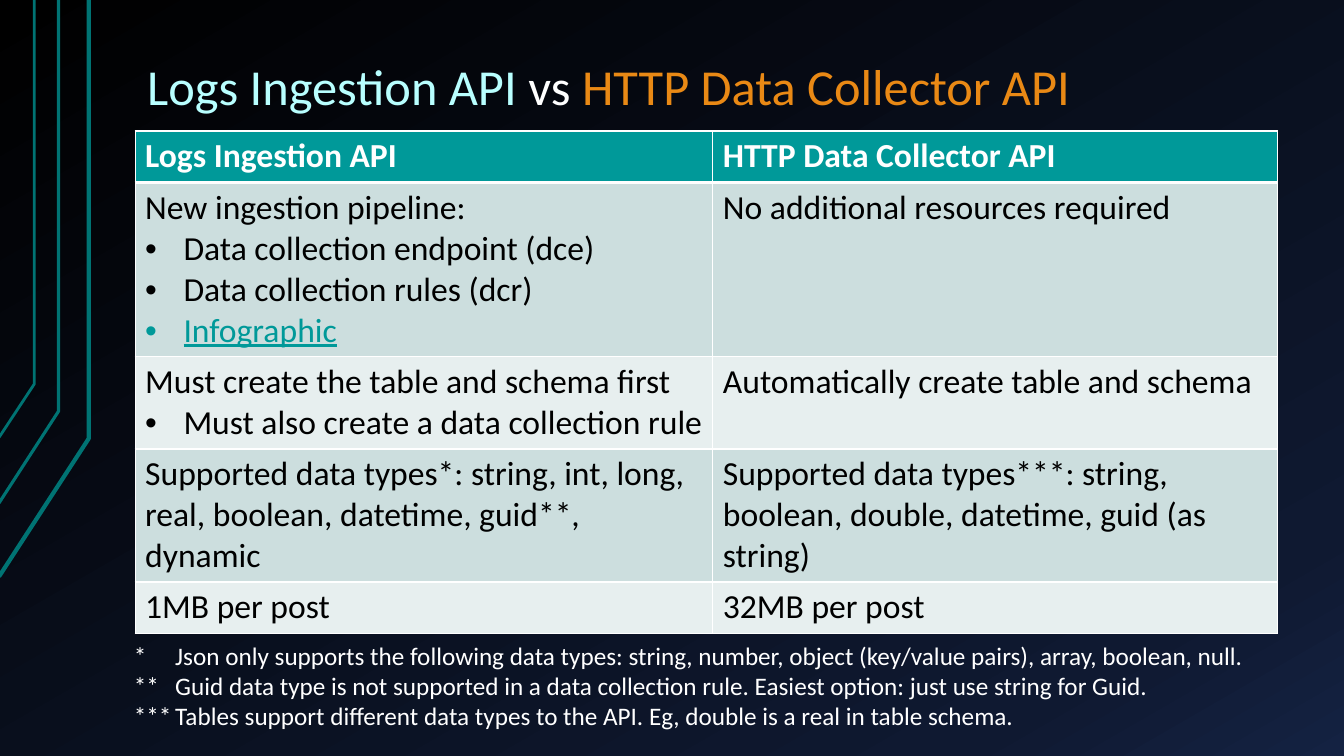
"""Build a slide comparing the Logs Ingestion and HTTP Data Collector APIs."""
from copy import deepcopy

from lxml.etree import SubElement
from pptx import Presentation
from pptx.dml.color import RGBColor as RGB
from pptx.enum.text import MSO_ANCHOR as Anchor, PP_ALIGN as Align
from pptx.oxml import parse_xml
from pptx.oxml.ns import nsdecls, qn
from pptx.util import Pt

PX = 9144
FONT = "Calibri"
BLACK = RGB(0x00, 0x00, 0x00)
WHITE = RGB(0xFF, 0xFF, 0xFF)
NAVY = RGB(0x0F, 0x19, 0x31)
BLUE = RGB(0x14, 0x22, 0x42)
TEAL = RGB(0x00, 0x99, 0x99)
DARK = RGB(0x00, 0x73, 0x73)
AQUA = RGB(0xB8, 0xFF, 0xFF)
ORANGE = RGB(0xE9, 0x89, 0x15)
BAND = RGB(0xCC, 0xDE, 0xDE)
PALE = RGB(0xE7, 0xEF, 0xEF)


def style(para, size, color, bold=False):
    """Set the font of a whole paragraph."""
    font = para.font
    font.name, font.size, font.bold = FONT, Pt(size), bold
    font.color.rgb = color


def hang(para, depth):
    """Give a paragraph a hanging indent and return its properties."""
    props = para._p.get_or_add_pPr()
    props.set("marL", str(depth * PX))
    props.set("indent", str(-depth * PX))
    return props


deck = Presentation()
deck.slide_width, deck.slide_height = 1333 * PX, 750 * PX
slide = deck.slides.add_slide(deck.slide_layouts[5])
shapes = slide.shapes

fill = slide.background.fill
fill.gradient()
fill.gradient_angle = 300
stops = slide.element.find(".//" + qn("a:gsLst"))
stops.append(deepcopy(stops[0]))
for stop, (place, color) in zip(fill.gradient_stops, [(0, BLACK), (0.85, NAVY), (1, BLUE)]):
    stop.position = place
    stop.color.rgb = color

for x, bend, foot, width in [(88, 435, 572, 3), (58, 408, 499, 2.25), (34, 381, 434, 2)]:
    path = shapes.build_freeform(-1, foot, scale=PX)
    path.add_line_segments([(x, bend), (x, 0)], close=False)
    stripe = path.convert_to_shape()
    stripe.fill.background()
    stripe.line.color.rgb = DARK
    stripe.line.width = Pt(width)
    stripe.shadow.inherit = False

title = shapes.title
title.left, title.top, title.width, title.height = [n * PX for n in (133, 30, 1133, 93)]
frame = title.text_frame
frame.word_wrap = True
frame.vertical_anchor = Anchor.BOTTOM
frame.margin_left = frame.margin_right = 13 * PX
frame.margin_top = frame.margin_bottom = 7 * PX
head = frame.paragraphs[0]
head.alignment = Align.LEFT
head.line_spacing = 0.9
style(head, 36, WHITE)
for text, color in [("Logs Ingestion API ", AQUA), ("vs ", WHITE), ("HTTP Data Collector API", ORANGE)]:
    run = head.add_run()
    run.text = text
    run.font.color.rgb = color

ROWS = [
    (51, ["Logs Ingestion API"], ["HTTP Data Collector API"]),
    (173, ["New ingestion pipeline:", "Data collection endpoint (dce)",
           "Data collection rules (dcr)", "Infographic"],
     ["No additional resources required"]),
    (91, ["Must create the table and schema first", "Must also create a data collection rule"],
     ["Automatically create table and schema"]),
    (132, ["Supported data types*: string, int, long, real, boolean, datetime, guid**, dynamic"],
     ["Supported data types***: string, boolean, double, datetime, guid (as string)"]),
    (51, ["1MB per post"], ["32MB per post"]),
]
total = sum(row[0] for row in ROWS)
table = shapes.add_table(len(ROWS), 2, 134 * PX, 130 * PX, 1133 * PX, total * PX).table
for col, width in zip(table.columns, (573, 560)):
    col.width = width * PX

for r, (height, *texts) in enumerate(ROWS):
    table.rows[r].height = height * PX
    for c, lines in enumerate(texts):
        cell = table.cell(r, c)
        cell.fill.solid()
        cell.fill.fore_color.rgb = TEAL if r == 0 else BAND if r % 2 else PALE
        thick = {(0, "B"), (1, "T")}
        for spot, side in enumerate("LRTB"):
            width = Pt(3 if (r, side) in thick else 1)
            cell._tc.get_or_add_tcPr().insert(spot, parse_xml(
                f'<a:ln{side} {nsdecls("a")} w="{width}"><a:solidFill>'
                f'<a:srgbClr val="{WHITE}"/></a:solidFill></a:ln{side}>'))
        cell.text = "\n".join(lines)
        for n, para in enumerate(cell.text_frame.paragraphs):
            if n:
                props = hang(para, 38)
                SubElement(props, qn("a:buFont")).set("typeface", "Arial")
                SubElement(props, qn("a:buChar")).set("char", "•")
            link = para.text == "Infographic"
            style(para, 24, WHITE if r == 0 else TEAL if link else BLACK, r == 0)
            if link:
                para.font.underline = True

NOTES = [
    ("*", "Json only supports the following data types: string, number, object "
          "(key/value pairs), array, boolean, null."),
    ("**", "Guid data type is not supported in a data collection rule. "
           "Easiest option: just use string for Guid."),
    ("***", "Tables support different data types to the API. Eg, double is a real in table schema."),
]
frame = shapes.add_textbox(123 * PX, 630 * PX, 1133 * PX, 101 * PX).text_frame
frame.word_wrap = True
frame.text = "\n".join(f"{mark}\t{note}" for mark, note in NOTES)
for para in frame.paragraphs:
    hang(para, 41)
    style(para, 18, WHITE)

deck.save("out.pptx")
